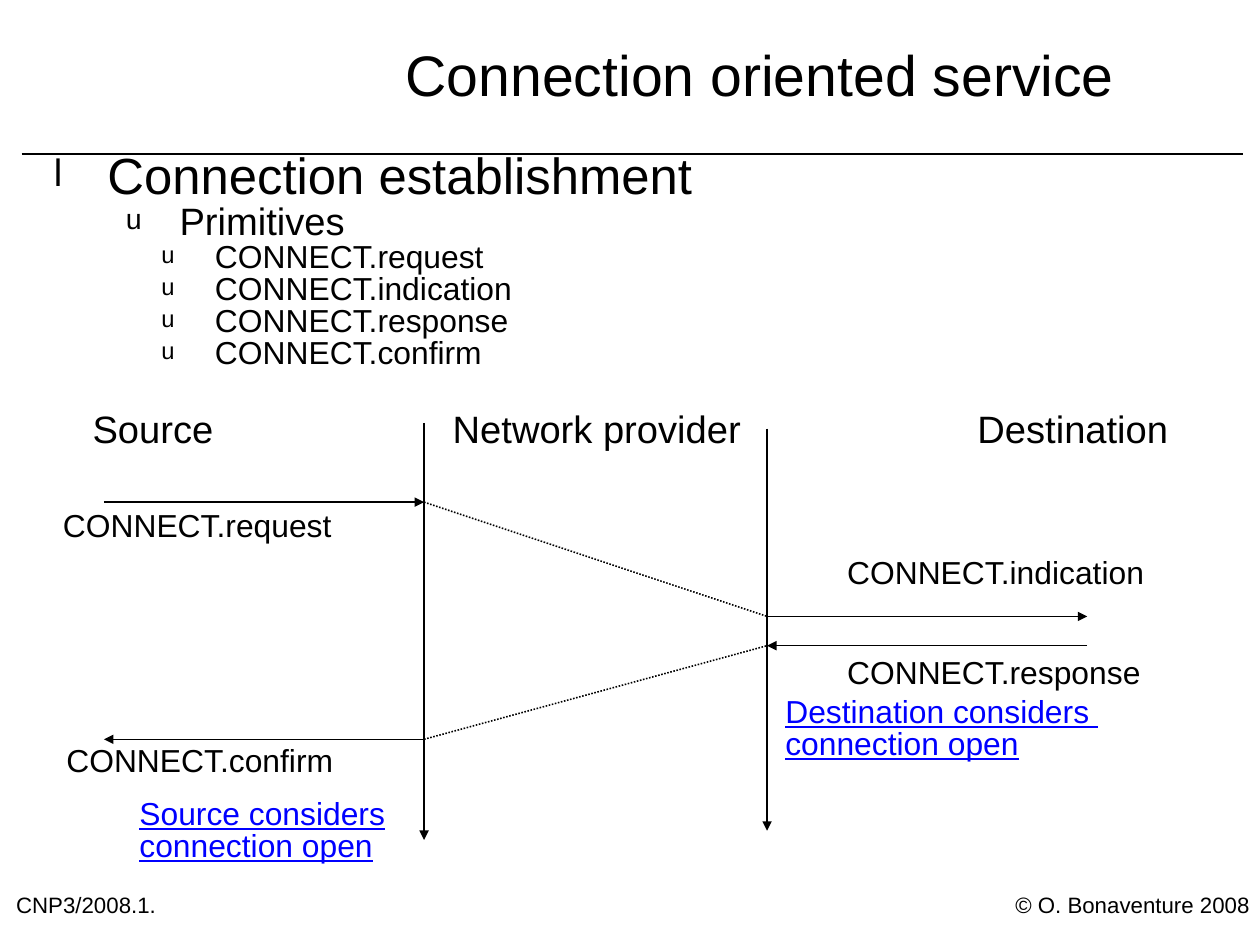
from dataclasses import dataclass

from lxml import etree
from pptx import Presentation
from pptx.dml.color import RGBColor
from pptx.enum.dml import MSO_LINE
from pptx.enum.shapes import MSO_CONNECTOR
from pptx.enum.text import MSO_ANCHOR, MSO_AUTO_SIZE, PP_ALIGN
from pptx.oxml.ns import qn
from pptx.util import Pt

STRAIGHT = MSO_CONNECTOR.STRAIGHT
DOTS = MSO_LINE.ROUND_DOT
TOP, MIDDLE = MSO_ANCHOR.TOP, MSO_ANCHOR.MIDDLE
LEFT, CENTER = PP_ALIGN.LEFT, PP_ALIGN.CENTER
FIXED = MSO_AUTO_SIZE.NONE


@dataclass(frozen=True)
class Theme:
    font: str = "Arial"
    ink: RGBColor = RGBColor(0, 0, 0)
    note: RGBColor = RGBColor(0, 0, 255)
    title: int = 36
    lead: int = 32
    head: int = 24
    text: int = 20
    foot: int = 14
    line: int = 1
    pitch: float = 0.84


THEME = Theme()

# Time lines of the two hosts, and the length of a message arrow
SOURCE, DEST, SPAN = 267.1, 483.1, 201.6
# Heights of the four messages
ASK, HEAR, REPLY, DONE = 316.4, 388.4, 406.8, 465.8

# Text, level, size, left margin
POINTS = [
    ("Connection establishment", 0, THEME.lead, 39.6),
    ("Primitives", 1, THEME.head, 85),
] + [
    ("CONNECT." + verb, 2, THEME.text, 107.3)
    for verb in ("request", "indication", "response", "confirm")
]


def add_run(para, text, size, color=THEME.ink, under=None):
    run = para.add_run()
    run.text = text
    font = run.font
    font.name, font.size, font.underline = THEME.font, Pt(size), under
    font.color.rgb = color


def set_para(para, align=LEFT):
    para.alignment = align
    para.line_spacing = THEME.pitch
    para.space_before = para.space_after = Pt(0)


def set_frame(shape, box, anchor=TOP, wrap=True):
    shape.left, shape.top, shape.width, shape.height = map(Pt, box)
    frame = shape.text_frame
    frame.margin_left = frame.margin_right = 0
    frame.margin_top = frame.margin_bottom = 0
    frame.auto_size = FIXED
    frame.word_wrap = wrap
    frame.vertical_anchor = anchor
    return frame


def add_bullet(para, mark, left):
    props = para._p.get_or_add_pPr()
    props.set("marL", str(Pt(left)))
    props.set("indent", str(Pt(-33.8)))
    tint = etree.SubElement(props, qn("a:buClr"))
    etree.SubElement(tint, qn("a:srgbClr"), val=str(THEME.ink))
    etree.SubElement(props, qn("a:buSzPct"), val="75000")
    etree.SubElement(props, qn("a:buFont"), typeface=THEME.font)
    etree.SubElement(props, qn("a:buChar"), char=mark)


def add_title(slide, text):
    frame = set_frame(slide.shapes.title, (200.2, 0, 556.6, 99.4), MIDDLE)
    para = frame.paragraphs[0]
    set_para(para, CENTER)
    add_run(para, text, THEME.title)


def add_list(slide, points):
    frame = set_frame(slide.placeholders[1], (28.1, 96.5, 736.6, 456.5))
    for i, (text, level, size, left) in enumerate(points):
        para = frame.add_paragraph() if i else frame.paragraphs[0]
        para.level = level
        set_para(para)
        add_bullet(para, "u" if level else "l", left)
        add_run(para, text, size)


def add_label(slide, lines, box, size=THEME.text, color=THEME.ink, under=None):
    shape = slide.shapes.add_textbox(*map(Pt, box))
    para = set_frame(shape, box, wrap=False).paragraphs[0]
    set_para(para)
    for i, text in enumerate(lines):
        if i:
            para.add_line_break()
        add_run(para, text, size, color, under)


def add_line(slide, start, end, arrow=False, dash=None):
    link = slide.shapes.add_connector(STRAIGHT, *map(Pt, start + end))
    link.line.color.rgb = THEME.ink
    link.line.width = Pt(THEME.line)
    if dash:
        link.line.dash_style = dash
    if arrow:
        stroke = link.line._get_or_add_ln()
        etree.SubElement(stroke, qn("a:tailEnd"), type="triangle")
    etree.SubElement(link._element.spPr, qn("a:effectLst"))


def main():
    deck = Presentation()
    deck.slide_width, deck.slide_height = Pt(793.5), Pt(595.4)
    slide = deck.slides.add_slide(deck.slide_layouts[1])

    # Heading and list
    add_title(slide, "Connection oriented service")
    add_line(slide, (13.7, 97.2), (782.6, 97.2))
    add_list(slide, POINTS)

    # Column heads
    for text, left, width in (
        ("Source", 58.3, 76.3),
        ("Network provider", 285.1, 181.4),
        ("Destination", 615.6, 120.2),
    ):
        add_label(slide, [text], (left, 259.9, width, 24.5), THEME.head)

    # Time lines
    add_line(slide, (SOURCE, 266.4), (SOURCE, 529.2), arrow=True)
    add_line(slide, (DEST, 270), (DEST, 523.4), arrow=True)

    # Messages between hosts and provider
    far, near = SOURCE - SPAN, DEST + SPAN
    for verb, start, end, high, box in (
        ("request", far, SOURCE, ASK, (39.6, 322.6, 171.4, 20.2)),
        ("indication", DEST, near, HEAR, (533.5, 352.1, 189.4, 20.2)),
        ("response", near, DEST, REPLY, (533.5, 415.4, 187.2, 20.2)),
        ("confirm", SOURCE, far, DONE, (41.8, 470.9, 170.6, 20.2)),
    ):
        add_line(slide, (start, high), (end, high), arrow=True)
        add_label(slide, ["CONNECT." + verb], box)

    # Paths through the provider
    add_line(slide, (SOURCE, ASK), (DEST, HEAR), dash=DOTS)
    add_line(slide, (SOURCE, DONE), (DEST, REPLY), dash=DOTS)

    # Notes on the open state
    for first, box in (
        ("Source considers", (87.8, 504, 154.8, 40.3)),
        ("Destination considers ", (494.6, 439.9, 197.3, 40.3)),
    ):
        add_label(slide, [first, "connection open"], box,
                  color=THEME.note, under=True)

    # Footer
    add_label(slide, ["CNP3/2008.1."], (10.1, 564.5, 121, 17.3), THEME.foot)
    add_label(slide, ["© O. Bonaventure 2008"],
              (639.4, 564.5, 147.6, 14.4), THEME.foot)

    deck.save("out.pptx")


if __name__ == "__main__":
    main()
